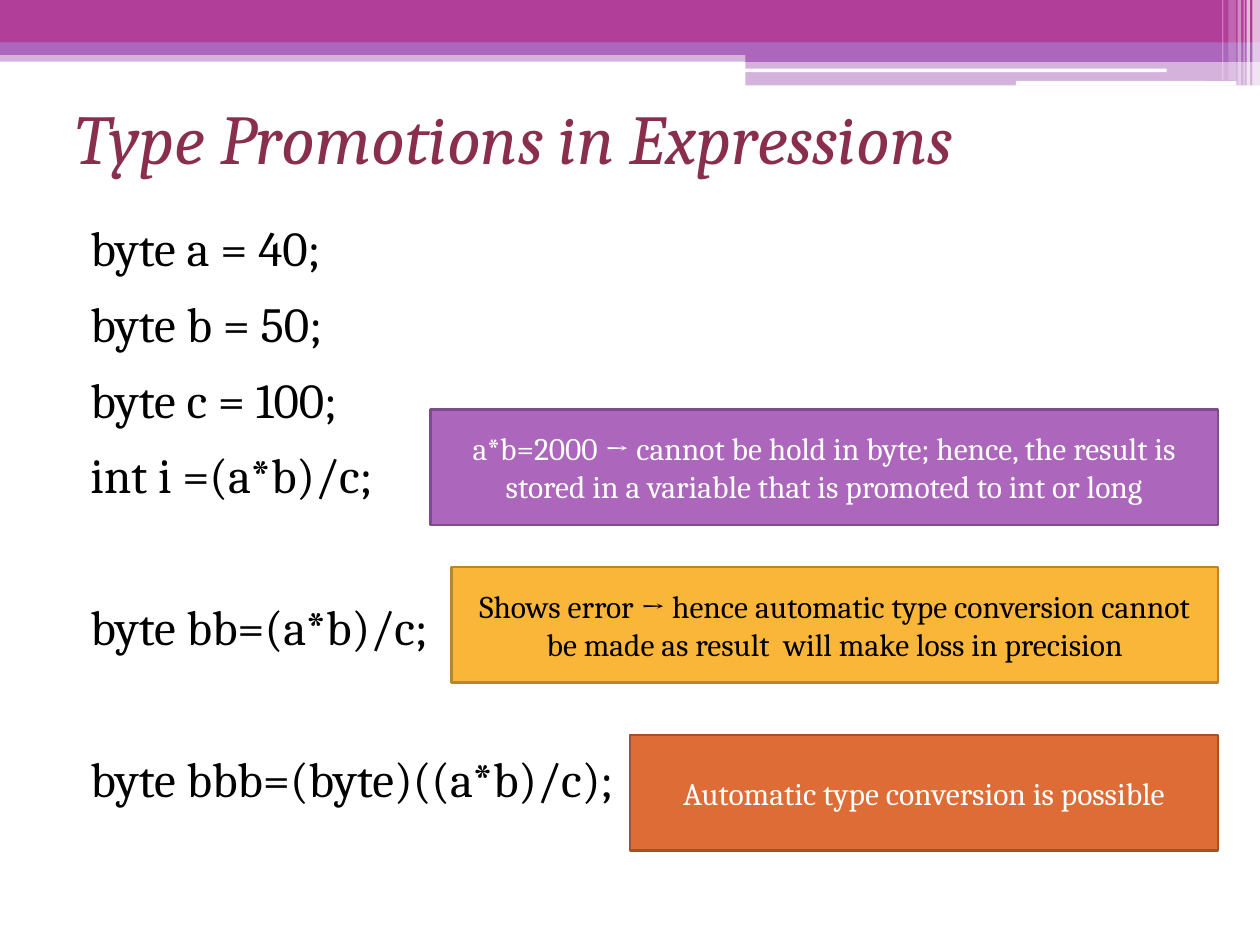
from dataclasses import dataclass
from typing import NamedTuple

from lxml import etree
from pptx import Presentation
from pptx.dml.color import RGBColor
from pptx.enum.shapes import MSO_SHAPE
from pptx.enum.text import MSO_ANCHOR, PP_ALIGN
from pptx.oxml.ns import qn
from pptx.util import Pt

RECT = MSO_SHAPE.RECTANGLE
ROUND = MSO_SHAPE.ROUNDED_RECTANGLE
MIDDLE = MSO_ANCHOR.MIDDLE
TOP = MSO_ANCHOR.TOP
CENTER = PP_ALIGN.CENTER


@dataclass(frozen=True)
class Theme:
    font: str = "Cambria"
    title: str = "8A2E4E"
    black: str = "000000"
    white: str = "FFFFFF"
    pink: str = "B13F9A"
    purple: str = "AC66BB"
    plum: str = "7F4B8A"
    gold: str = "F9B639"
    bronze: str = "B8872A"
    orange: str = "DE6C36"
    rust: str = "A45028"
    head: float = 40
    code: float = 28
    note: float = 18


class Box(NamedTuple):
    left: float
    top: float
    width: float
    height: float


class Band(NamedTuple):
    box: Box
    fill: str
    alpha: int = 100
    kind: int = RECT


class Note(NamedTuple):
    left: float
    top: float
    text: str
    fill: str
    edge: str
    ink: str


class Line(NamedTuple):
    text: str
    skip: int = 0


THEME = Theme()
WIDE, HIGH = 720, 540
EDGE = 696
NOTE_HIGH = 66
SPACE = 3
PITCH = 43.3

BANDS = [
    Band(Box(0, 28.5, WIDE, 6.75), THEME.purple, 50),
    Band(Box(0, 0, WIDE, 24.5), THEME.pink),
    Band(Box(0, 24.25, WIDE, 7.2), THEME.purple),
    Band(Box(426, 28.25, 294, 7.2), THEME.purple),
    Band(Box(426, 34.65, 294, 14.2), THEME.purple, 50),
    Band(Box(425.5, 39.2, 241.2, 2), THEME.white, 100, ROUND),
    Band(Box(580.5, 46.3, 126, 2.7), THEME.white, 100, ROUND),
]
STRIPES = [
    Band(Box(left, 0, width, height), THEME.white, alpha)
    for left, width, height, alpha in [
        (715.7, 4.3, 49, 65),
        (712.3, 2, 49, 65),
        (710.6, 0.7, 49, 60),
        (707.2, 2, 49, 40),
        (702, 4.3, 46, 20),
        (698.4, 0.7, 46, 30),
    ]
]
CODE = [
    Line("byte a = 40;"),
    Line("byte b = 50;"),
    Line("byte c = 100;"),
    Line("int i =(a*b)/c;"),
    Line("byte bb=(a*b)/c;", 1),
    Line("byte bbb=(byte)((a*b)/c);", 1),
]
NOTES = [
    Note(246, 234, "a*b=2000 → cannot be hold in byte; hence, the result is "
         "stored in a variable that is promoted to int or long",
         THEME.purple, THEME.plum, THEME.white),
    Note(258, 324, "Shows error → hence automatic type conversion cannot "
         "be made as result  will make loss in precision",
         THEME.gold, THEME.bronze, THEME.black),
    Note(360, 420, "Automatic type conversion is possible",
         THEME.orange, THEME.rust, THEME.white),
]


def color(code: str) -> RGBColor:
    return RGBColor.from_string(code)


def style(frame, size: float, ink: str, slant: bool = False) -> None:
    for para in frame.paragraphs:
        for run in para.runs:
            font = run.font
            font.name, font.size, font.italic = THEME.font, Pt(size), slant
            font.color.rgb = color(ink)


def draw_band(slide, band: Band):
    shape = slide.shapes.add_shape(band.kind, *map(Pt, band.box))
    shape.shadow.inherit = False
    shape.fill.solid()
    shape.fill.fore_color.rgb = color(band.fill)
    shape.line.fill.background()
    if band.alpha < 100:
        paint = shape.fill._xPr.find(".//" + qn("a:srgbClr"))
        etree.SubElement(paint, qn("a:alpha"), val=str(band.alpha * 1000))
    return shape


def draw_note(slide, note: Note) -> None:
    box = Box(note.left, note.top, EDGE - note.left, NOTE_HIGH)
    shape = draw_band(slide, Band(box, note.fill))
    shape.line.color.rgb = color(note.edge)
    shape.line.width = Pt(1.5)
    frame = shape.text_frame
    frame.word_wrap = True
    frame.vertical_anchor = MIDDLE
    frame.text = note.text
    frame.paragraphs[0].alignment = CENTER
    style(frame, THEME.note, note.ink)


def draw_text(slide, box: Box, text: str, anchor: int):
    frame = slide.shapes.add_textbox(*map(Pt, box)).text_frame
    frame.word_wrap = True
    frame.vertical_anchor = anchor
    frame.text = text
    return frame


def draw_code(slide) -> None:
    text = "\n".join(line.text for line in CODE)
    frame = draw_text(slide, Box(36, 114, 648, 366), text, TOP)
    for para, line in zip(frame.paragraphs, CODE):
        para.line_spacing = 1.2
        para.space_before = Pt(SPACE + line.skip * PITCH)
        props = para._p.get_or_add_pPr()
        props.set("marL", str(Pt(28.8)))
        props.set("indent", str(Pt(-20.16)))
    style(frame, THEME.code, THEME.black)


def main() -> None:
    deck = Presentation()
    deck.slide_width, deck.slide_height = Pt(WIDE), Pt(HIGH)
    slide = deck.slides.add_slide(deck.slide_layouts[6])
    for band in BANDS + STRIPES:
        draw_band(slide, band)
    title = draw_text(slide, Box(36, 48, 648, 60),
                      "Type Promotions in Expressions", MIDDLE)
    style(title, THEME.head, THEME.title, True)
    draw_code(slide)
    for note in NOTES:
        draw_note(slide, note)
    deck.save("out.pptx")


if __name__ == "__main__":
    main()
